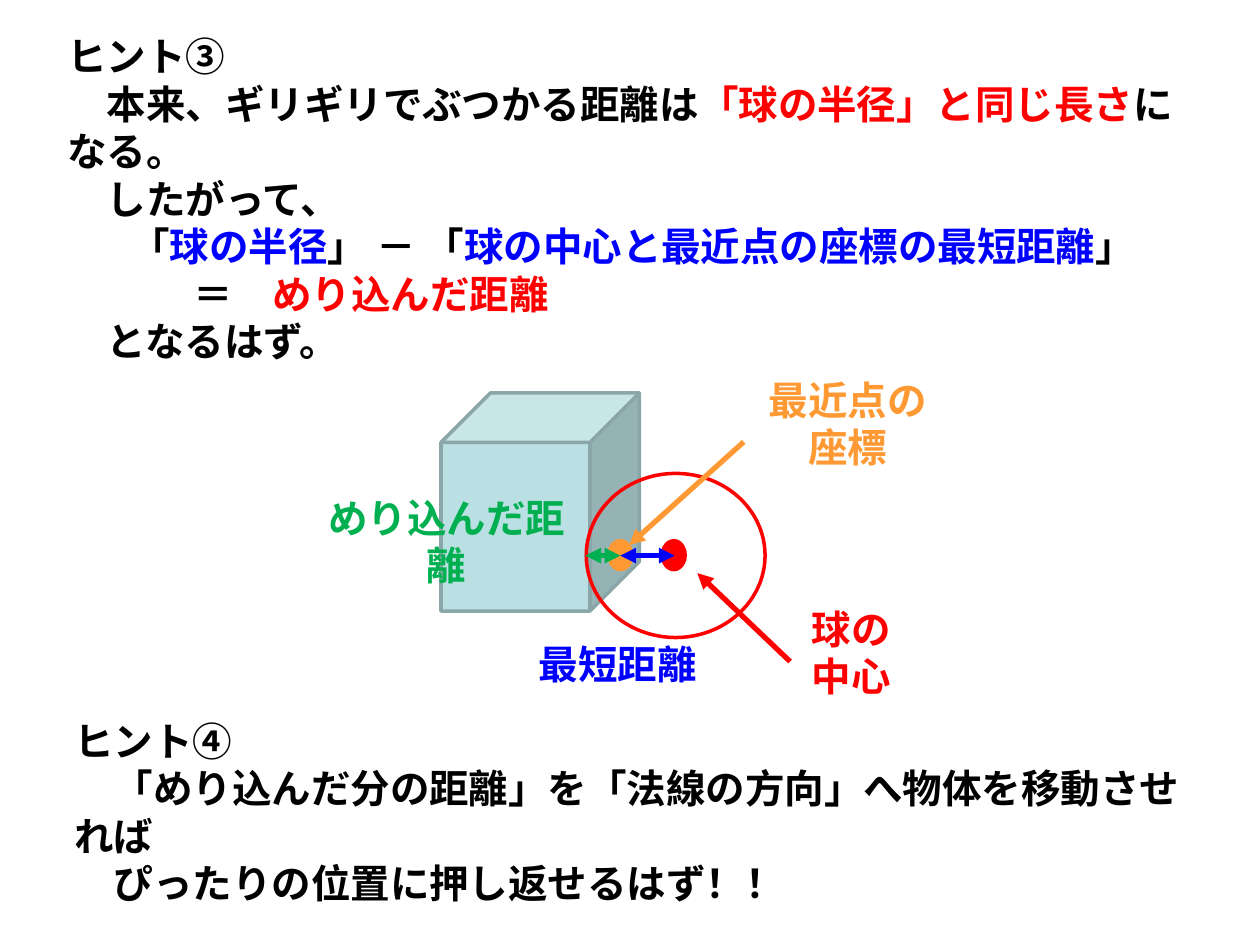
from lxml import etree
from pptx import Presentation
from pptx.dml.color import RGBColor
from pptx.enum import shapes, text
from pptx.oxml import ns
from pptx.util import Pt

BLACK = RGBColor(0, 0, 0)
RED = RGBColor(255, 0, 0)
BLUE = RGBColor(0, 0, 255)
ORANGE = RGBColor(255, 153, 51)
GREEN = RGBColor(0, 176, 80)
TEAL = RGBColor(187, 224, 227)
SLATE = RGBColor(138, 166, 168)

deck = Presentation()
deck.slide_width, deck.slide_height = Pt(720), Pt(540)
slide = deck.slides.add_slide(deck.slide_layouts[6])


def write(parts, left, top, width, height, align=text.PP_ALIGN.LEFT):
    box = slide.shapes.add_textbox(Pt(left), Pt(top), Pt(width), Pt(height))
    frame = box.text_frame
    frame.word_wrap = True
    para = frame.paragraphs[0]
    para.alignment = align
    for words, color in parts:
        for i, line in enumerate(words.split("\n")):
            if i:
                para.add_line_break()
            if line:
                run = para.add_run()
                run.text = line
                run.font.name = "Arial"
                run.font.size = Pt(22.6)
                run.font.bold = True
                run.font.color.rgb = color
    for gap in para._p.findall(ns.qn("a:br")):
        etree.SubElement(gap, ns.qn("a:rPr"), sz="2260", b="1")


def arrow(start, end, color, double=False):
    line = slide.shapes.add_connector(
        shapes.MSO_CONNECTOR.STRAIGHT, *map(Pt, start + end))
    line.line.color.rgb = color
    line.line.width = Pt(3)
    ln = line.line._get_or_add_ln()
    for tag in ["a:headEnd"] * double + ["a:tailEnd"]:
        etree.SubElement(ln, ns.qn(tag), type="triangle")
    etree.SubElement(line._element.spPr, ns.qn("a:effectLst"))


write([
    ("ヒント③\n　本来、ギリギリでぶつかる距離は", BLACK),
    ("「球の半径」と同じ長さ", RED),
    ("になる。\n　したがって、\n\t「", BLACK),
    ("球の半径", BLUE),
    ("」 － 「", BLACK),
    ("球の中心と最近点の座標の最短距離", BLUE),
    ("」\n\t\t＝　", BLACK),
    ("めり込んだ距離\n", RED),
    ("　となるはず。", BLACK),
], 31.5, 15, 647.5, 172)

KIND = shapes.MSO_SHAPE
for kind, left, top, width, height, fill, edge in [
    (KIND.CUBE, 252, 224.5, 113.4, 124.7, TEAL, SLATE),
    (KIND.OVAL, 335, 270.5, 102.2, 93.8, None, RED),
    (KIND.OVAL, 378.5, 309, 13, 16.5, RED, RED),
    (KIND.OVAL, 348, 309, 13, 16.5, ORANGE, ORANGE),
]:
    part = slide.shapes.add_shape(kind, Pt(left), Pt(top), Pt(width), Pt(height))
    part.shadow.inherit = False
    if fill is None:
        part.fill.background()
    else:
        part.fill.solid()
        part.fill.fore_color.rgb = fill
    part.line.color.rgb = edge
    part.line.width = Pt(2)

arrow((451.5, 378), (398.5, 327.5), RED)
arrow((425, 252.5), (359.5, 311.5), ORANGE)
arrow((354.5, 317.5), (385.5, 317.5), BLUE, double=True)
arrow((334.5, 317.5), (354.5, 317.5), GREEN, double=True)

for words, color, left, top, width, height in [
    ("球の中心", RED, 453, 342, 67, 62),
    ("最近点の座標", ORANGE, 425.5, 211, 118, 62),
    ("最短距離", BLUE, 294, 362, 118, 34.5),
    ("めり込んだ距離", GREEN, 172, 278.5, 166.5, 34.5),
]:
    write([(words, color)], left, top, width, height, align=text.PP_ALIGN.CENTER)

write([(
    "ヒント④\n　「めり込んだ分の距離」を「法線の方向」へ物体を移動させれば\n"
    "　ぴったりの位置に押し返せるはず！！", BLACK)], 35.5, 406, 647.5, 89.5)

deck.save("out.pptx")
